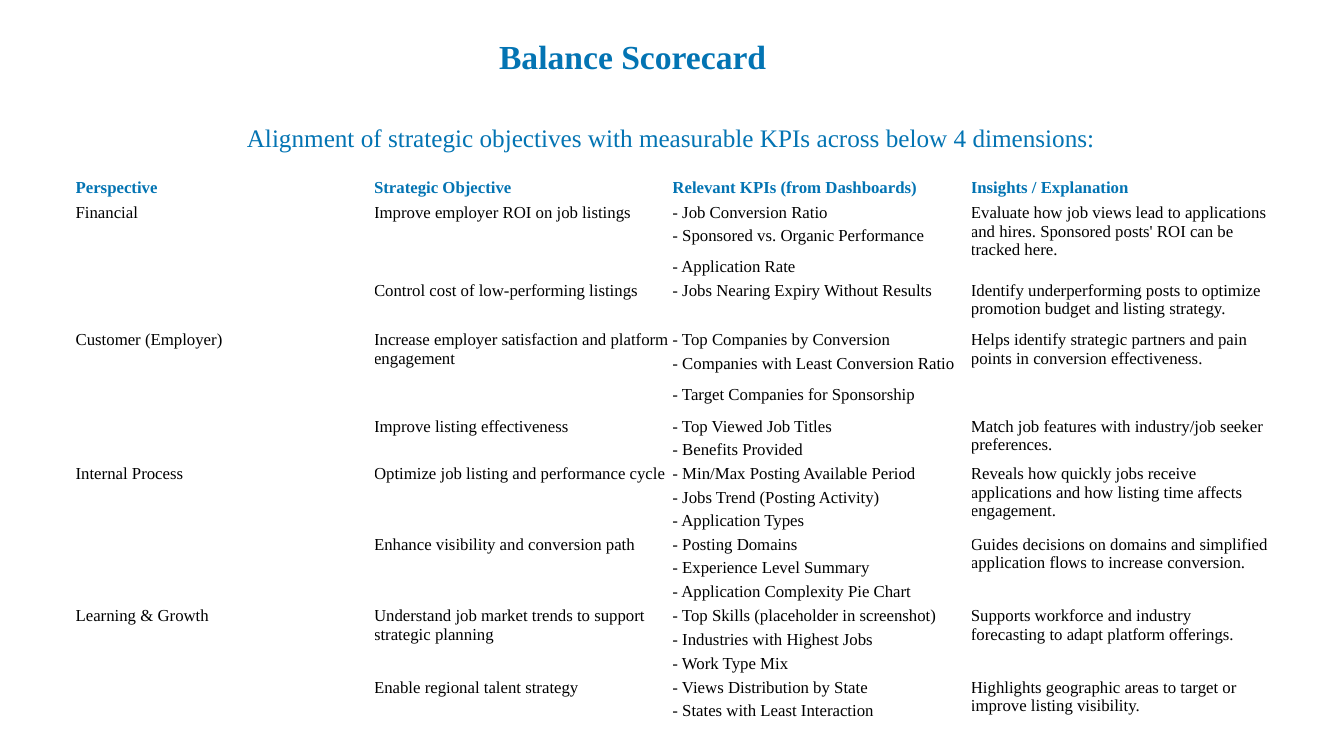
from lxml.etree import SubElement
from pptx import Presentation
from pptx.dml.color import RGBColor
from pptx.enum.text import MSO_ANCHOR, MSO_AUTO_SIZE, PP_ALIGN
from pptx.oxml.ns import qn
from pptx.util import Inches, Pt

BLUE, BLACK, WHITE = "0374B3", "000000", "FFFFFF"
FONT = "Times New Roman"
HEADERS = ["Perspective", "Strategic Objective", "Relevant KPIs (from Dashboards)",
           "Insights / Explanation"]
KPI_COLUMN = 2
COLUMN_WIDTH = 2.96
ROW_HEIGHTS = [0.25, 0.23, 0.31, 0.23, 0.49, 0.24, 0.31, 0.31, 0.23, 0.24, 0.24,
               0.23, 0.23, 0.23, 0.24, 0.24, 0.24, 0.24, 0.23, 0.23, 0.24]
OBJECTIVES = [
    ("Financial", "Improve employer ROI on job listings",
     ["Job Conversion Ratio", "Sponsored vs. Organic Performance", "Application Rate"],
     "Evaluate how job views lead to applications and hires. "
     "Sponsored posts' ROI can be tracked here."),
    ("", "Control cost of low-performing listings",
     ["Jobs Nearing Expiry Without Results"],
     "Identify underperforming posts to optimize promotion budget and listing strategy."),
    ("Customer (Employer)", "Increase employer satisfaction and platform engagement",
     ["Top Companies by Conversion", "Companies with Least Conversion Ratio",
      "Target Companies for Sponsorship"],
     "Helps identify strategic partners and pain points in conversion effectiveness."),
    ("", "Improve listing effectiveness",
     ["Top Viewed Job Titles", "Benefits Provided"],
     "Match job features with industry/job seeker preferences."),
    ("Internal Process", "Optimize job listing and performance cycle",
     ["Min/Max Posting Available Period", "Jobs Trend (Posting Activity)",
      "Application Types"],
     "Reveals how quickly jobs receive applications and how listing time affects engagement."),
    ("", "Enhance visibility and conversion path",
     ["Posting Domains", "Experience Level Summary", "Application Complexity Pie Chart"],
     "Guides decisions on domains and simplified application flows to increase conversion."),
    ("Learning & Growth", "Understand job market trends to support strategic planning",
     ["Top Skills (placeholder in screenshot)", "Industries with Highest Jobs",
      "Work Type Mix"],
     "Supports workforce and industry forecasting to adapt platform offerings."),
    ("", "Enable regional talent strategy",
     ["Views Distribution by State", "States with Least Interaction"],
     "Highlights geographic areas to target or improve listing visibility."),
]


def set_attributes(target, values):
    """Set each named attribute of the target."""
    for name, value in values.items():
        setattr(target, name, value)


def color(hex_value):
    """Turn a hex string into a colour."""
    return RGBColor.from_string(hex_value)


def write_text(paragraph, text, size, hex_value, bold=False):
    """Write one formatted run into a paragraph."""
    run = paragraph.add_run()
    run.text = text
    set_attributes(run.font, {"name": FONT, "size": Pt(size), "bold": bold})
    run.font.color.rgb = color(hex_value)


def fill_heading(shape, box, text, size, bold=False):
    """Place a one-line heading and write its text."""
    left, top, width, height = map(Inches, box)
    set_attributes(shape, {"left": left, "top": top, "width": width, "height": height})
    frame = shape.text_frame
    set_attributes(frame, {"word_wrap": False, "auto_size": MSO_AUTO_SIZE.SHAPE_TO_FIT_TEXT,
                           "vertical_anchor": MSO_ANCHOR.TOP})
    frame.paragraphs[0].alignment = PP_ALIGN.LEFT
    write_text(frame.paragraphs[0], text, size, BLUE, bold)


def format_cell(cell):
    """Give a cell a white fill, white borders and no margins."""
    set_attributes(cell, {"margin_left": 0, "margin_right": 0, "margin_top": 0,
                          "margin_bottom": 0, "vertical_anchor": MSO_ANCHOR.TOP})
    properties = cell._tc.get_or_add_tcPr()
    for side in ("a:lnL", "a:lnR", "a:lnT", "a:lnB"):
        line = SubElement(properties, qn(side), w=str(Pt(1)))
        SubElement(SubElement(line, qn("a:solidFill")), qn("a:srgbClr"), val=WHITE)
    cell.fill.solid()
    cell.fill.fore_color.rgb = color(WHITE)


def write_cell(cell, text, hex_value=BLACK, bold=False):
    """Write table text, or keep an empty cell at the table text size."""
    paragraph = cell.text_frame.paragraphs[0]
    if text:
        write_text(paragraph, text, 12, hex_value, bold)
    else:
        SubElement(paragraph._p, qn("a:endParaRPr"), sz="1200")


def write_objective(table, top_row, objective):
    """Write one objective beside its KPI rows and return the next free row."""
    kpis = objective[KPI_COLUMN]
    last_row = top_row + len(kpis) - 1
    for column, content in enumerate(objective):
        texts = content if column == KPI_COLUMN else [content] + [""] * (len(kpis) - 1)
        for row, text in enumerate(texts, top_row):
            write_cell(table.cell(row, column),
                       f"- {text}" if column == KPI_COLUMN else text)
        if column != KPI_COLUMN and last_row > top_row:
            table.cell(top_row, column).merge(table.cell(last_row, column))
    return last_row + 1


def add_scorecard(slide):
    """Add the scorecard table."""
    table = slide.shapes.add_table(
        len(ROW_HEIGHTS), len(HEADERS), Inches(0.75), Inches(1.77),
        Inches(COLUMN_WIDTH * len(HEADERS)), Inches(sum(ROW_HEIGHTS))).table
    set_attributes(table, {"first_row": False, "horz_banding": False})
    for column in table.columns:
        column.width = Inches(COLUMN_WIDTH)
    for row, height in zip(table.rows, ROW_HEIGHTS):
        row.height = Inches(height)
    for cell in table.iter_cells():
        format_cell(cell)
    for column, header in enumerate(HEADERS):
        write_cell(table.cell(0, column), header, BLUE, True)
    next_row = 1
    for objective in OBJECTIVES:
        next_row = write_objective(table, next_row, objective)


def main():
    """Build and save the balance scorecard slide."""
    presentation = Presentation()
    set_attributes(presentation, {"slide_width": Inches(13.33), "slide_height": Inches(7.5)})
    slide = presentation.slides.add_slide(presentation.slide_layouts[5])
    fill_heading(slide.shapes.title, (4.85, 0.31, 2.88, 0.5), "Balance Scorecard", 24, True)
    subtitle_box = (2.35, 1.16, 8.63, 0.4)
    subtitle = slide.shapes.add_textbox(*map(Inches, subtitle_box))
    fill_heading(subtitle, subtitle_box,
                 "Alignment of strategic objectives with measurable KPIs "
                 "across below 4 dimensions:", 18)
    add_scorecard(slide)
    presentation.save("out.pptx")


if __name__ == "__main__":
    main()
